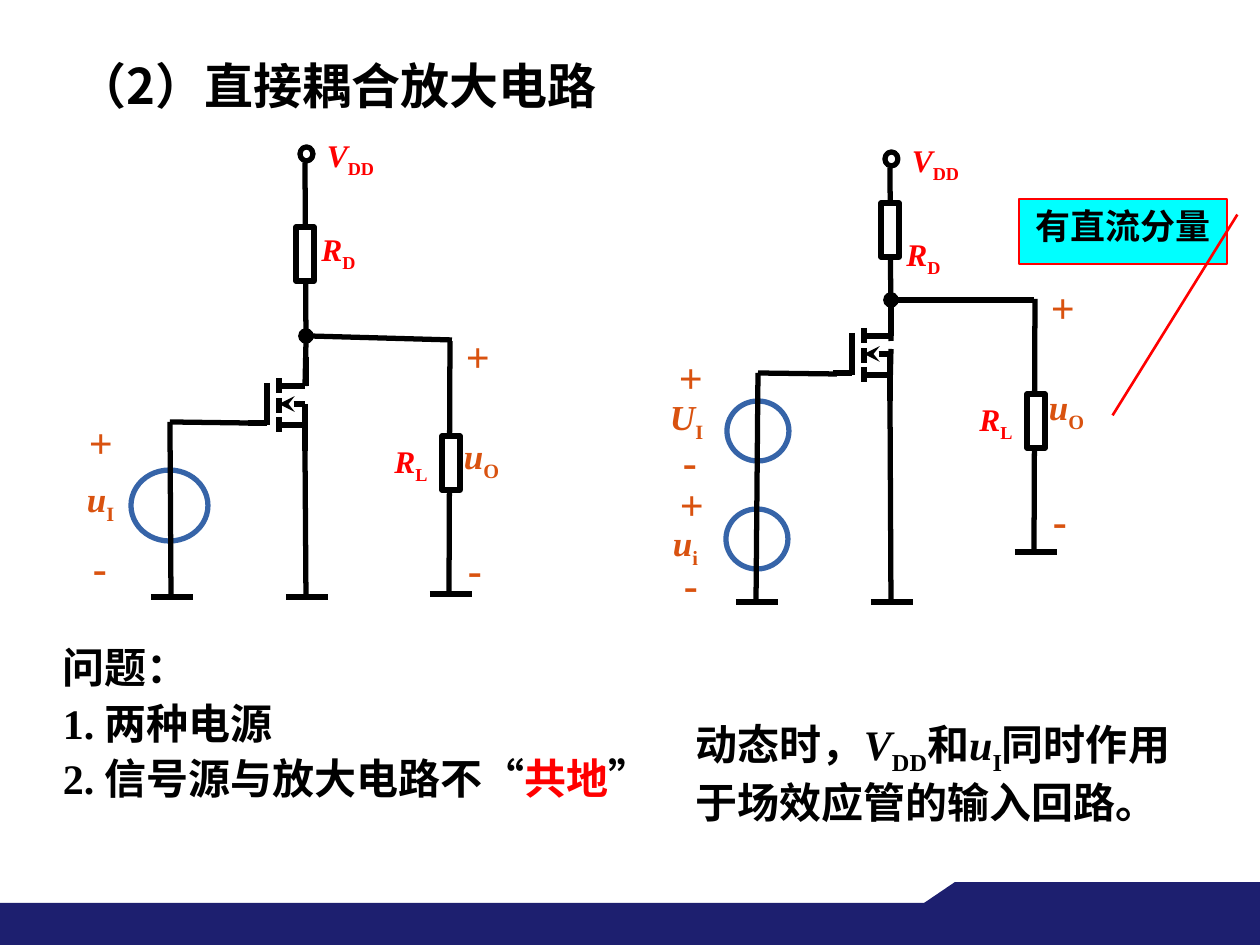
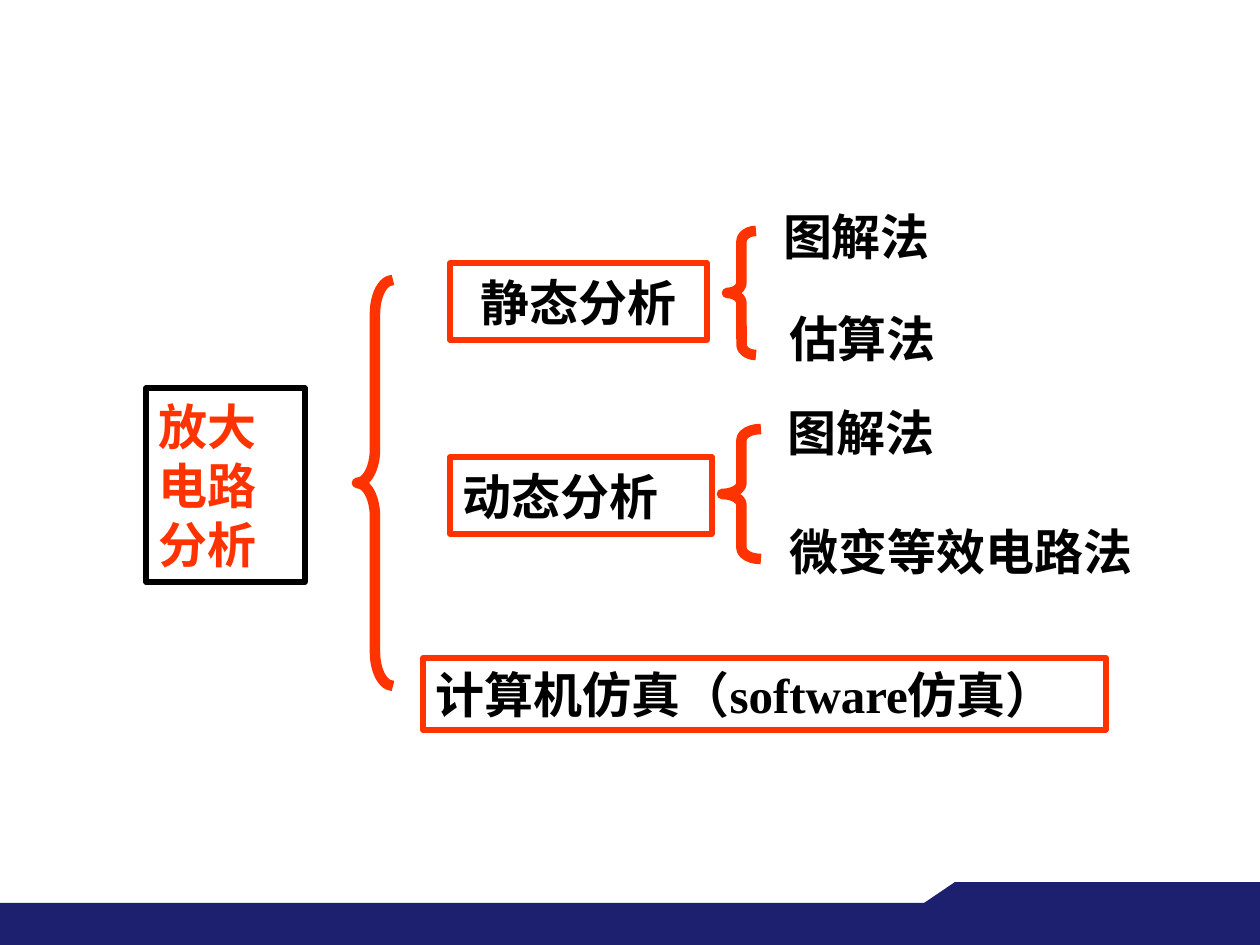
import dataclasses

import pptx
import pptx.dml.color
import pptx.enum.shapes
import pptx.enum.text
import pptx.oxml
import pptx.oxml.ns
import pptx.util

SHAPE = pptx.enum.shapes.MSO_SHAPE
ANCHOR = pptx.enum.text.MSO_ANCHOR
ALIGN = pptx.enum.text.PP_ALIGN
EMU_PER_PX = 914400 / 126
INSET = (13, 6, 13, 6)
RESISTOR = (18, 54)


@dataclasses.dataclass(frozen=True)
class Theme:
    """Colours, fonts, type sizes and line widths of the deck."""

    ink: str = "000000"
    paper: str = "FFFFFF"
    band: str = "1D1F6F"
    red: str = "FF0000"
    vermilion: str = "FF3300"
    orange: str = "D9520F"
    blue: str = "3664A8"
    cyan: str = "00FFFF"
    serif: str = "Times New Roman"
    sans: str = "Noto Sans CJK SC"
    heading: int = 28
    body: int = 24
    signal: int = 20
    component: int = 18
    hairline: float = 1.5
    wire: int = 3
    brace: int = 6


THEME = Theme()


def px(value):
    """Turn px into EMU."""
    return pptx.util.Emu(round(value * EMU_PER_PX))


def rgb(value):
    """Turn a hex string into a colour."""
    return pptx.dml.color.RGBColor.from_string(value)


def symbol(letter, subscript):
    """Return the runs of an italic letter with an upright subscript."""
    return [(letter, {"italic": True}), (subscript, {"subscript": True})]


def add_run(paragraph, text, size, color, latin, italic=False, subscript=False):
    """Append one bold run to a paragraph."""
    run = paragraph.add_run()
    run.text = text
    font = run.font
    font.size, font.bold, font.italic = pptx.util.Pt(size), True, italic
    font.color.rgb = rgb(color)
    font.name = latin
    properties = run._r.get_or_add_rPr()
    if subscript:
        properties.set("baseline", "-25000")
    east_asian = pptx.oxml.parse_xml(
        f'<a:ea {pptx.oxml.ns.nsdecls("a")} typeface="{THEME.sans}"/>')
    properties.find(pptx.oxml.ns.qn("a:latin")).addnext(east_asian)


def write(shape, *paragraphs, size=THEME.heading, color=THEME.ink, latin=THEME.serif,
          align=ALIGN.LEFT, anchor=ANCHOR.TOP, inset=INSET, wrap=True, spacing=None):
    """Fill a shape with paragraphs, each a string or a list of (text, format) runs."""
    frame = shape.text_frame
    frame.word_wrap, frame.vertical_anchor = wrap, anchor
    frame.margin_left, frame.margin_top, frame.margin_right, frame.margin_bottom = map(px, inset)
    for index, runs in enumerate(paragraphs):
        paragraph = frame.add_paragraph() if index else frame.paragraphs[0]
        paragraph.alignment = align
        if spacing:
            paragraph.line_spacing = spacing
        for text, overrides in [(runs, {})] if isinstance(runs, str) else runs:
            add_run(paragraph, text, **{"size": size, "color": color, "latin": latin, **overrides})


def add_text(slide, box, *paragraphs, **text_format):
    """Add a text box."""
    write(slide.shapes.add_textbox(*map(px, box)), *paragraphs, **text_format)


def style(shape, fill=None, line=None, width=THEME.wire):
    """Set fill and outline, and drop the shadow."""
    shape.shadow.inherit = False
    if fill:
        shape.fill.solid()
        shape.fill.fore_color.rgb = rgb(fill)
    else:
        shape.fill.background()
    if line:
        shape.line.color.rgb = rgb(line)
        shape.line.width = pptx.util.Pt(width)
    else:
        shape.line.fill.background()


def add_shape(slide, kind, box, adjustments=(), **look):
    """Add a styled preset shape."""
    shape = slide.shapes.add_shape(kind, *map(px, box))
    for index, value in enumerate(adjustments):
        shape.adjustments[index] = value
    style(shape, **look)
    return shape


def add_wire(slide, start, end, head=None, tail=None):
    """Add a black wire, with an optional mark at either end."""
    connector = slide.shapes.add_connector(
        pptx.enum.shapes.MSO_CONNECTOR.STRAIGHT, *map(px, (*start, *end)))
    connector.line.color.rgb = rgb(THEME.ink)
    connector.line.width = pptx.util.Pt(THEME.wire)
    properties = connector._element.spPr
    outline = properties.find(pptx.oxml.ns.qn("a:ln"))
    for tag, mark in (("headEnd", head), ("tailEnd", tail)):
        if mark:
            outline.append(pptx.oxml.parse_xml(
                f'<a:{tag} {pptx.oxml.ns.nsdecls("a")} type="{mark}"/>'))
    properties.append(pptx.oxml.parse_xml(f'<a:effectLst {pptx.oxml.ns.nsdecls("a")}/>'))


def footer(slide, left=0, top=882, width=1260, height=63):
    """Draw the stepped band along the foot of a slide."""
    add_shape(slide, SHAPE.RECTANGLE, (left, top + 21, width, height - 21), fill=THEME.band)
    right = left + width
    step = slide.shapes.build_freeform(left + 924, top + 21, scale=EMU_PER_PX)
    step.add_line_segments([(left + 955, top), (right, top), (right, top + 32),
                            (left + 924, top + 32)])
    style(step.convert_to_shape(), fill=THEME.band)


def component_label(slide, left, top, width, letter, subscript):
    """Name a supply or a resistor in red."""
    add_text(slide, (left, top, width, 50), symbol(letter, subscript), size=THEME.component,
             color=THEME.red, align=ALIGN.CENTER, wrap=False)


def signal_label(slide, left, top, runs, size=THEME.body):
    """Write a sign or a signal name in orange."""
    add_text(slide, (left, top, 52, 50), runs, size=size, color=THEME.orange, inset=(0,) * 4)


def ground(slide, x, y):
    """Draw a ground bar below a wire."""
    add_wire(slide, (x - 20, y), (x + 22, y))


def resistor(slide, left, top):
    """Draw a resistor body over its wire."""
    add_shape(slide, SHAPE.RECTANGLE, (left, top, *RESISTOR), fill=THEME.paper, line=THEME.ink)


def supply(slide, left, top, resistor_top, junction=None):
    """Draw the supply terminal, the drain resistor and the wire below them."""
    add_shape(slide, SHAPE.OVAL, (left, top, 13, 14), line=THEME.ink)
    add_wire(slide, (left + 5, top + 16), (left + 6, top + 189), tail=junction)
    resistor(slide, left - 4, resistor_top)
    component_label(slide, left + 11, top - 17, 79, "V", "DD")
    component_label(slide, left + 7, top + 77, 63, "R", "D")


def transistor(slide, drain, top, ground_y):
    """Draw the transistor left of its drain line, with its source wire to ground."""
    plate, channel = drain - 38, drain - 26
    add_wire(slide, (plate - 19, top + 45), (plate, top + 45))
    add_wire(slide, (plate, top + 5), (plate, top + 47))
    for offset in (0, 20, 39):
        add_wire(slide, (channel, top + offset), (channel, top + offset + 15))
    for offset, head in ((8, None), (26, "stealth"), (47, None)):
        add_wire(slide, (channel, top + offset), (drain, top + offset), head=head)
    add_wire(slide, (drain + 1, top - 21), (drain + 1, top + 8))
    add_wire(slide, (drain, top + 26), (drain, top + 73))
    add_wire(slide, (drain, top + 72), (drain + 1, ground_y))
    ground(slide, drain + 1, ground_y)


def load(slide, x, top, label_top):
    """Draw the load branch with its output labels."""
    bottom = top + 253
    add_wire(slide, (x, top), (x - 1, bottom))
    ground(slide, x, bottom)
    resistor(slide, x - 8, top + 95)
    component_label(slide, x - 69, top + 95, 60, "R", "L")
    signal_label(slide, x + 16, label_top, "+")
    signal_label(slide, x + 14, label_top + 104, symbol("u", "O"), size=THEME.signal)
    signal_label(slide, x + 18, label_top + 213, "-")


def source(slide, circle, name, label_left, label_top, name_offset, minus_offset):
    """Draw a signal source with its polarity signs and name."""
    add_shape(slide, SHAPE.OVAL, circle, fill=THEME.paper, line=THEME.blue)
    signal_label(slide, label_left, label_top, "+")
    signal_label(slide, label_left + name_offset[0], label_top + name_offset[1],
                 symbol(*name), size=THEME.signal)
    signal_label(slide, label_left + 4, label_top + minus_offset, "-")


def input_wire(slide, start, gate, bottom):
    """Join the sources to the gate and to ground."""
    add_wire(slide, start, gate)
    add_wire(slide, start, bottom)
    ground(slide, *bottom)


def two_source_circuit(slide, left=89, top=130):
    """Draw the circuit whose source is separate from the supply."""
    source(slide, (left + 42, top + 340, 77, 71), ("u", "I"), left, top + 287, (-2, 61), 125)
    input_wire(slide, (left + 81, top + 292), (left + 159, top + 293), (left + 82, top + 467))
    supply(slide, left + 211, top + 17, top + 97, junction="oval")
    add_wire(slide, (left + 217, top + 213), (left + 216, top + 256))
    transistor(slide, left + 216, top + 248, top + 467)
    add_wire(slide, (left + 363, top + 210), (left + 221, top + 206))
    load(slide, left + 361, top + 211, top + 201)


def common_ground_circuit(slide, left=670, top=136):
    """Draw the circuit whose sources and supply share a ground."""
    source(slide, (left + 57, top + 265, 62, 60), ("U", "I"), left + 9, top + 216, (-9, 44), 84)
    source(slide, (left + 56, top + 373, 62, 60), ("u", "i"), left + 10, top + 343, (-7, 43), 80)
    input_wire(slide, (left + 88, top + 237), (left + 167, top + 238), (left + 86, top + 466))
    supply(slide, left + 215, top + 16, top + 67)
    add_wire(slide, (left + 221, top + 213), (left + 220, top + 255))
    transistor(slide, left + 220, top + 192, top + 466)
    add_wire(slide, (left + 364, top + 164), (left + 221, top + 164), tail="oval")
    load(slide, left + 365, top + 163, top + 146)


def coupling_slide(slide):
    """Compare the two direct-coupled amplifiers."""
    footer(slide)
    add_text(slide, (65, 28, 1071, 108), "（2）直接耦合放大电路", latin=THEME.sans,
             anchor=ANCHOR.MIDDLE, spacing=1.1)
    add_text(slide, (50, 631, 640, 179), "问题：", "1. 两种电源",
             [("2. 信号源与放大电路不“", {}), ("共地", {"color": THEME.red}), ("”", {})],
             size=THEME.body, spacing=1.1)
    add_text(slide, (683, 713, 517, 115),
             [("动态时，", {}), *symbol("V", "DD"), ("和", {}), *symbol("u", "I"),
              ("同时作用于场效应管的输入回路。", {})], size=THEME.body)
    callout = add_shape(slide, SHAPE.LINE_CALLOUT_1, (1019, 199, 208, 65),
                        (0.24, 1.05, 3.33, 0.45), fill=THEME.cyan, line=THEME.red,
                        width=THEME.hairline)
    write(callout, "有直流分量", size=THEME.signal, align=ALIGN.CENTER)
    two_source_circuit(slide)
    common_ground_circuit(slide)


def analysis_slide(slide):
    """Show the tree of amplifier analysis methods."""
    footer(slide)
    boxes = [
        ((146, 388, 159, 194), "放大电路分析", THEME.ink, THEME.vermilion, ALIGN.LEFT),
        ((450, 263, 257, 77), "静态分析", THEME.vermilion, THEME.ink, ALIGN.CENTER),
        ((450, 457, 262, 77), "动态分析", THEME.vermilion, THEME.ink, ALIGN.LEFT),
        ((423, 658, 683, 72), "计算机仿真（software仿真）", THEME.vermilion, THEME.ink, ALIGN.LEFT),
    ]
    for box, text, line, color, align in boxes:
        shape = add_shape(slide, SHAPE.RECTANGLE, box, line=line)
        write(shape, text, color=color, align=align, anchor=ANCHOR.MIDDLE)
    braces = [((357, 280, 36, 406), 0.93), ((727, 231, 29, 124), 0.36), ((722, 429, 39, 130), 0.28)]
    for box, curve in braces:
        add_shape(slide, SHAPE.LEFT_BRACE, box, (curve, 0.5), line=THEME.vermilion,
                  width=THEME.brace)
    methods = [
        ((736, 200, 241, 72), "图解法", ALIGN.CENTER),
        ((742, 302, 241, 72), "估算法", ALIGN.CENTER),
        ((775, 396, 305, 72), "图解法", ALIGN.LEFT),
        ((777, 515, 392, 72), "微变等效电路法", ALIGN.LEFT),
    ]
    for box, text, align in methods:
        add_text(slide, box, text, align=align, anchor=ANCHOR.MIDDLE)


def main():
    """Build and save the deck."""
    presentation = pptx.Presentation()
    presentation.slide_width, presentation.slide_height = px(1260), px(945)
    for build in (coupling_slide, analysis_slide):
        build(presentation.slides.add_slide(presentation.slide_layouts[6]))
    presentation.save("out.pptx")


if __name__ == "__main__":
    main()
